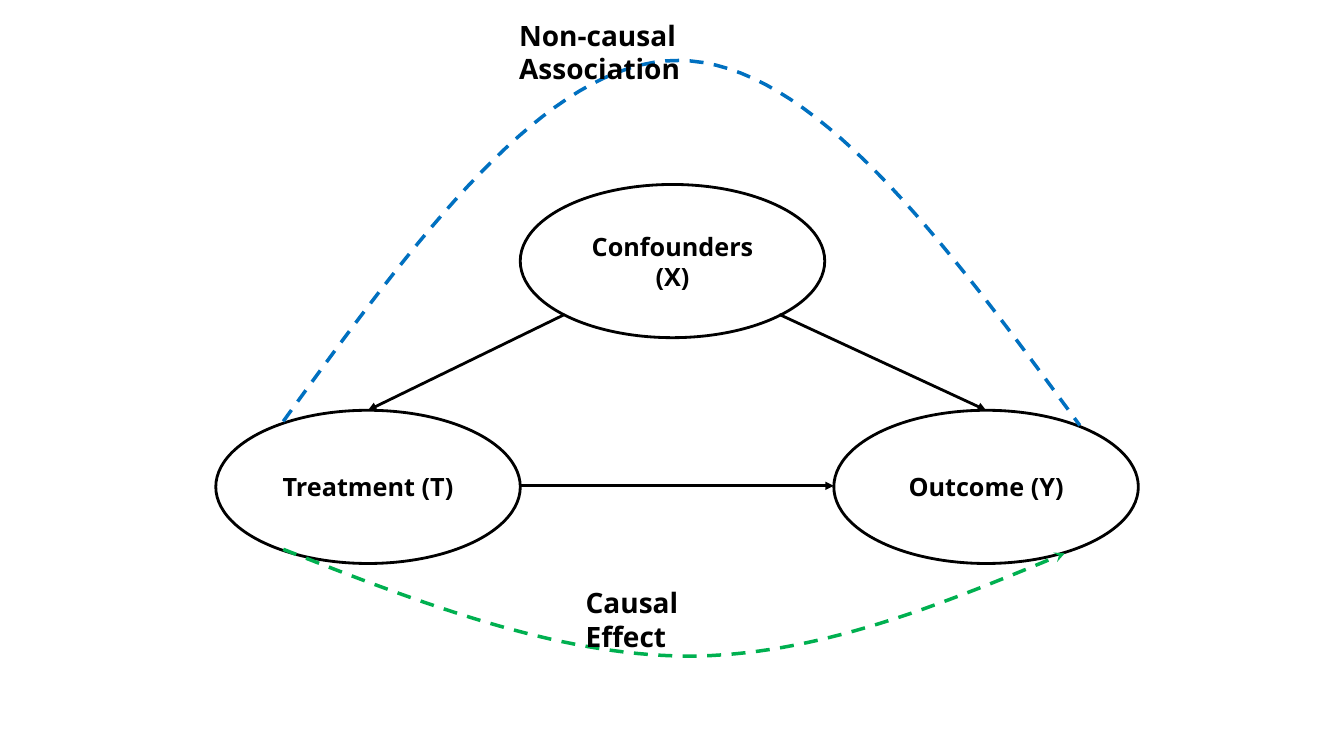
from dataclasses import dataclass

from lxml import etree
from pptx import Presentation
from pptx.dml.color import RGBColor
from pptx.enum.dml import MSO_LINE
from pptx.enum.shapes import MSO_CONNECTOR, MSO_SHAPE
from pptx.enum.text import MSO_ANCHOR, PP_ALIGN
from pptx.oxml.ns import qn
from pptx.util import Inches, Pt

OVAL = MSO_SHAPE.OVAL
STRAIGHT = MSO_CONNECTOR.STRAIGHT
DASH = MSO_LINE.DASH
MIDDLE = MSO_ANCHOR.MIDDLE
CENTER = PP_ALIGN.CENTER

FONT = "Noto Sans"
BLACK, WHITE, BLUE, GREEN = "000000", "FFFFFF", "0070C0", "00B050"
NODE_W, NODE_H = 3.02, 1.52
TOP = 0
STEPS = 32

Point = tuple[float, float]


@dataclass
class Node:
    text: str
    left: float
    top: float


@dataclass
class Arrow:
    start: Point
    end: Point
    goal: str = ""


@dataclass
class Curve:
    points: list[Point]
    color: str
    head: str = ""


@dataclass
class Label:
    text: str
    left: float
    top: float
    width: float


NODES = [
    Node("Confounders (X)", 5.16, 1.83),
    Node("Outcome (Y)", 8.27, 4.07),
    Node("Treatment (T)", 2.14, 4.07),
]
ARROWS = [
    Arrow((5.6, 3.12), (3.65, 4.07), "Treatment (T)"),
    Arrow((7.73, 3.12), (9.78, 4.07), "Outcome (Y)"),
    Arrow((5.16, 4.82), (8.27, 4.82)),
]
CURVES = [
    Curve([(2.81, 4.18), (4.11, 2.39), (5.42, 0.59), (6.73, 0.6),
           (8.05, 0.6), (9.38, 2.41), (10.71, 4.22)], BLUE),
    Curve([(2.81, 5.45), (4.16, 5.98), (5.51, 6.5), (6.81, 6.51),
           (8.1, 6.51), (9.33, 6), (10.56, 5.49)], GREEN, "stealth"),
]
LABELS = [
    Label("Non-causal Association", 5.05, 0.13, 3.26),
    Label("Causal Effect", 5.71, 5.76, 1.94),
]


def rgb(color: str) -> RGBColor:
    return RGBColor.from_string(color)


def set_line(line, color: str, width: float) -> None:
    line.color.rgb = rgb(color)
    line.width = Pt(width)


def add_head(line, kind: str) -> None:
    ln = line._get_or_add_ln()
    etree.SubElement(ln, qn("a:tailEnd"), type=kind)


def set_text(frame, text: str, size: int) -> None:
    frame.word_wrap = True
    frame.text = text
    font = frame.paragraphs[0].runs[0].font
    font.name = FONT
    font.size = Pt(size)
    font.bold = True
    font.color.rgb = rgb(BLACK)


def add_node(shapes, node: Node):
    oval = shapes.add_shape(OVAL, Inches(node.left), Inches(node.top),
                            Inches(NODE_W), Inches(NODE_H))
    oval.shadow.inherit = False
    oval.fill.solid()
    oval.fill.fore_color.rgb = rgb(WHITE)
    set_line(oval.line, BLACK, 2)
    frame = oval.text_frame
    set_text(frame, node.text, 18)
    frame.vertical_anchor = MIDDLE
    frame.paragraphs[0].alignment = CENTER
    return oval


def add_arrow(shapes, arrow: Arrow, ovals: dict) -> None:
    ends = [Inches(v) for v in arrow.start + arrow.end]
    link = shapes.add_connector(STRAIGHT, *ends)
    if arrow.goal:
        link.end_connect(ovals[arrow.goal], TOP)
    set_line(link.line, BLACK, 2)
    add_head(link.line, "triangle")
    etree.SubElement(link._element.spPr, qn("a:effectLst"))


def trace(points: list[Point]) -> list[Point]:
    path = [points[0]]
    for i in range(0, len(points) - 1, 3):
        a, b, c, d = points[i:i + 4]
        for step in range(1, STEPS + 1):
            t = step / STEPS
            u = 1 - t
            mix = (u ** 3, 3 * u * u * t, 3 * u * t * t, t ** 3)
            x, y = (sum(m * v for m, v in zip(mix, axis))
                    for axis in zip(a, b, c, d))
            path.append((x, y))
    return path


def add_curve(shapes, curve: Curve) -> None:
    first, *rest = [(Inches(x), Inches(y)) for x, y in trace(curve.points)]
    pen = shapes.build_freeform(*first)
    pen.add_line_segments(rest, close=False)
    arc = pen.convert_to_shape()
    arc.shadow.inherit = False
    arc.fill.background()
    set_line(arc.line, curve.color, 2.5)
    arc.line.dash_style = DASH
    if curve.head:
        add_head(arc.line, curve.head)


def add_label(shapes, label: Label) -> None:
    box = shapes.add_textbox(Inches(label.left), Inches(label.top),
                             Inches(label.width), Inches(0.44))
    set_text(box.text_frame, label.text, 20)


def main() -> None:
    deck = Presentation()
    deck.slide_width = Inches(13.33)
    deck.slide_height = Inches(7.5)
    shapes = deck.slides.add_slide(deck.slide_layouts[6]).shapes
    ovals = {node.text: add_node(shapes, node) for node in NODES}
    for arrow in ARROWS:
        add_arrow(shapes, arrow, ovals)
    for curve in CURVES:
        add_curve(shapes, curve)
    for label in LABELS:
        add_label(shapes, label)
    deck.save("out.pptx")


if __name__ == "__main__":
    main()
